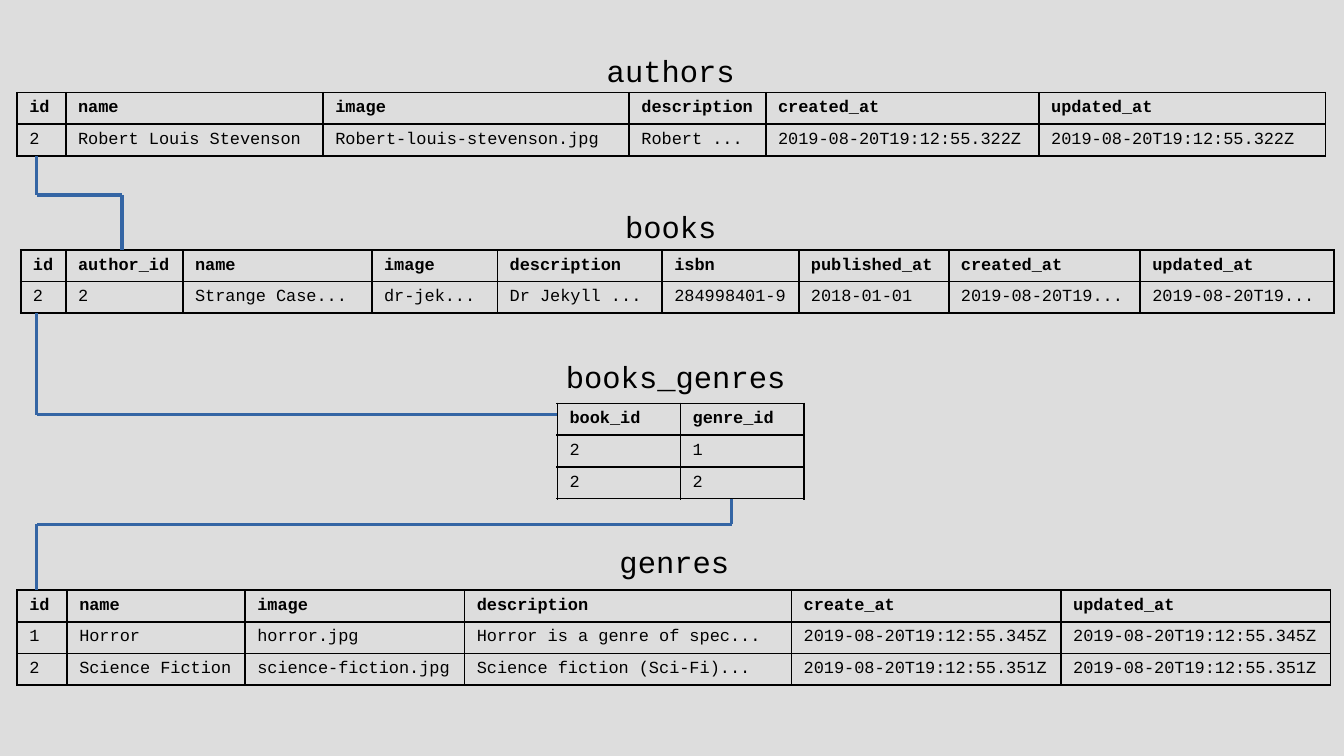
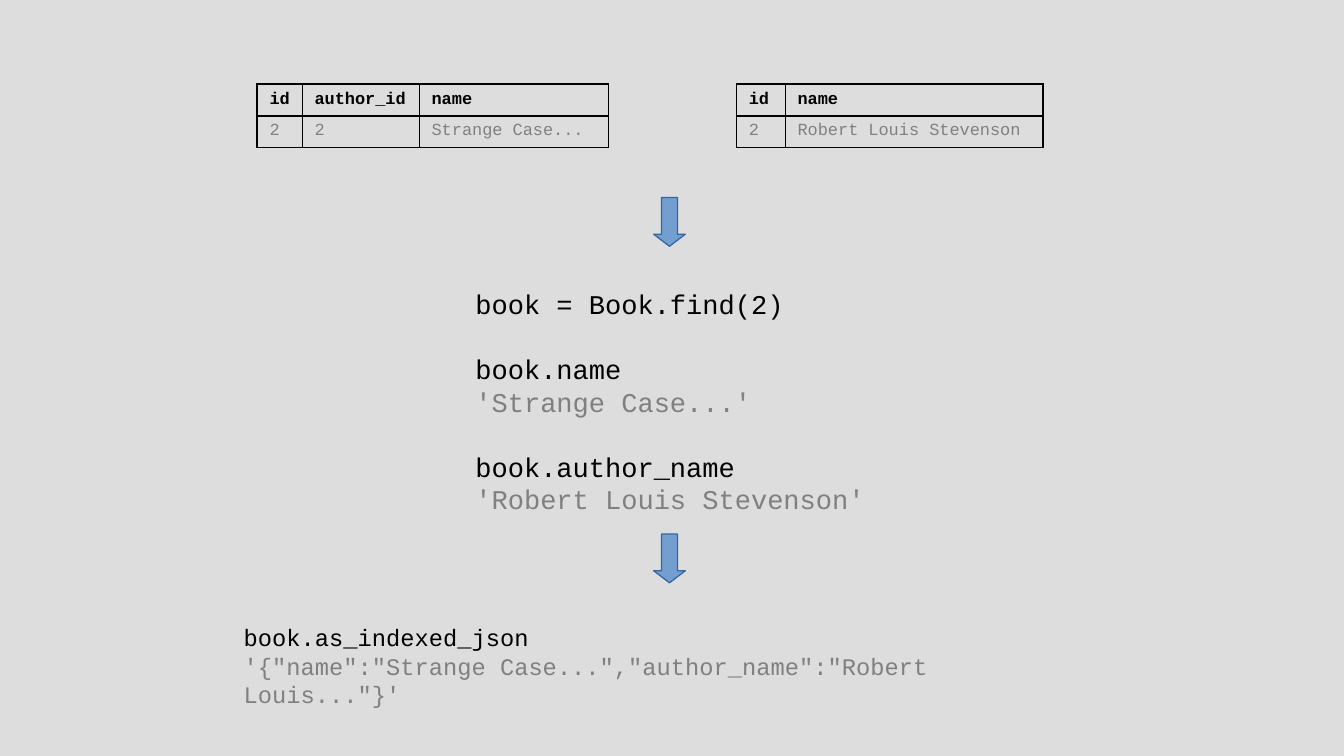
from itertools import pairwise

from lxml import etree
from pptx import Presentation
from pptx import util as u
from pptx.dml.color import RGBColor
from pptx.enum import shapes, text
from pptx.oxml.ns import qn

FONT = "Courier New"
BLACK, GRAY, BACKGROUND = "000000", "808080", "DDDDDD"
BLUE, BLUE_LINE = "729FCF", "3465A4"
ROW_HEIGHT = 0.26
BORDER = u.Pt(1.13)
ID_X = 0.3

AUTHOR_COLUMNS = [0.4, 2.11, 2.51, 1.12, 2.24, 2.35]
BOOK_COLUMNS = [0.37, 0.96, 1.55, 1.03, 1.35, 1.12, 1.23, 1.57, 1.59]
GENRE_COLUMNS = [0.41, 1.46, 1.8, 2.68, 2.21, 2.21]


def color(value):
    return RGBColor.from_string(value)


def format_runs(paragraph, size, shade=BLACK, bold=False):
    for run in paragraph.runs:
        run.font.name = FONT
        run.font.size = u.Pt(size)
        run.font.bold = bold
        run.font.color.rgb = color(shade)


def add_borders(cell):
    properties = cell._tc.get_or_add_tcPr()
    for side in ("a:lnL", "a:lnR", "a:lnT", "a:lnB"):
        line = etree.SubElement(properties, qn(side), w=str(BORDER))
        fill = etree.SubElement(line, qn("a:solidFill"))
        etree.SubElement(fill, qn("a:srgbClr"), val=BLACK)


def add_data_table(slide, left, top, widths, rows, value_color=BLACK):
    frame = slide.shapes.add_table(
        len(rows), len(widths), u.Inches(left), u.Inches(top),
        u.Inches(sum(widths)), u.Inches(ROW_HEIGHT * len(rows)))
    table = frame.table
    table.horz_banding = False
    for column, width in zip(table.columns, widths):
        column.width = u.Inches(width)
    for row_index, values in enumerate(rows):
        header = row_index == 0
        table.rows[row_index].height = u.Inches(ROW_HEIGHT)
        for cell, value in zip(table.rows[row_index].cells, values):
            cell.text_frame.text = value
            format_runs(cell.text_frame.paragraphs[0], 10,
                        BLACK if header else value_color, header)
            add_borders(cell)
            cell.fill.background()


def add_text(slide, left, top, width, height, size, lines,
             alignment=text.PP_ALIGN.LEFT):
    box = slide.shapes.add_textbox(
        u.Inches(left), u.Inches(top), u.Inches(width), u.Inches(height))
    frame = box.text_frame
    frame.word_wrap = True
    frame.text = "\n".join(line for line, shade in lines)
    for paragraph, (line, shade) in zip(frame.paragraphs, lines):
        paragraph.alignment = alignment
        format_runs(paragraph, size, shade)
    return frame.paragraphs


def add_label(slide, left, top, name):
    add_text(slide, left, top, 3, 0.38, 18, [(name, BLACK)],
             text.PP_ALIGN.CENTER)


def add_link(slide, *points):
    for start, end in pairwise(points):
        connector = slide.shapes.add_connector(
            shapes.MSO_CONNECTOR.STRAIGHT,
            *(u.Inches(value) for value in start + end))
        connector.line.color.rgb = color(BLUE_LINE)
        connector.line.width = u.Pt(0)
        etree.SubElement(connector._element.spPr, qn("a:effectLst"))


def add_down_arrow(slide, top):
    shape = slide.shapes.add_shape(
        shapes.MSO_SHAPE.DOWN_ARROW,
        u.Inches(5.36), u.Inches(top), u.Inches(0.26), u.Inches(0.4))
    shape.adjustments[0] = 0.5
    shape.adjustments[1] = 0.38
    shape.shadow.inherit = False
    shape.fill.solid()
    shape.fill.fore_color.rgb = color(BLUE)
    shape.line.color.rgb = color(BLUE_LINE)
    shape.line.width = u.Pt(0)


def build_schema(slide):
    add_data_table(slide, 0.14, 0.76, AUTHOR_COLUMNS, [
        ["id", "name", "image", "description", "created_at", "updated_at"],
        ["2", "Robert Louis Stevenson", "Robert-louis-stevenson.jpg",
         "Robert ...", "2019-08-20T19:12:55.322Z",
         "2019-08-20T19:12:55.322Z"],
    ])
    add_data_table(slide, 0.17, 2.05, BOOK_COLUMNS, [
        ["id", "author_id", "name", "image", "description", "isbn",
         "published_at", "created_at", "updated_at"],
        ["2", "2", "Strange Case...", "dr-jek...", "Dr Jekyll ...",
         "284998401-9", "2018-01-01", "2019-08-20T19...",
         "2019-08-20T19..."],
    ])
    add_data_table(slide, 4.57, 3.31, [1.01, 1.01], [
        ["book_id", "genre_id"], ["2", "1"], ["2", "2"],
    ])
    add_data_table(slide, 0.14, 4.84, GENRE_COLUMNS, [
        ["id", "name", "image", "description", "create_at", "updated_at"],
        ["1", "Horror", "horror.jpg", "Horror is a genre of spec...",
         "2019-08-20T19:12:55.345Z", "2019-08-20T19:12:55.345Z"],
        ["2", "Science Fiction", "science-fiction.jpg",
         "Science fiction (Sci-Fi)...",
         "2019-08-20T19:12:55.351Z", "2019-08-20T19:12:55.351Z"],
    ])

    add_label(slide, 4, 0.38, "authors")
    add_label(slide, 4, 1.66, "books")
    add_label(slide, 4.04, 2.89, "books_genres")
    add_label(slide, 4.03, 4.4, "genres")

    add_link(slide, (ID_X, 1.28), (ID_X, 1.6), (1, 1.6), (1, 2.05))
    add_link(slide, (ID_X, 2.57), (ID_X, 3.4), (4.57, 3.4))
    add_link(slide, (6, 4.09), (6, 4.3), (ID_X, 4.3), (ID_X, 4.84))


def build_index_example(slide):
    add_data_table(slide, 6.04, 0.69, AUTHOR_COLUMNS[:2], [
        ["id", "name"], ["2", "Robert Louis Stevenson"],
    ], GRAY)
    add_data_table(slide, 2.11, 0.69, BOOK_COLUMNS[:3], [
        ["id", "author_id", "name"], ["2", "2", "Strange Case..."],
    ], GRAY)

    paragraphs = add_text(slide, 3.8, 2.31, 3.49, 2.11, 16, [
        ("book = Book.find(2)", BLACK),
        ("book.name", BLACK),
        ("'Strange Case...'", GRAY),
        ("book.author_name", BLACK),
        ("'Robert Louis Stevenson'", GRAY),
    ])
    for paragraph in (paragraphs[1], paragraphs[3]):
        paragraph.space_before = u.Pt(19.2)
    add_text(slide, 1.9, 5.06, 7.1, 0.76, 14, [
        ("book.as_indexed_json", BLACK),
        ("""'{"name":"Strange Case...","author_name":"Robert Louis..."}'""",
         GRAY),
    ])

    for top in (1.62, 4.38):
        add_down_arrow(slide, top)


def main():
    presentation = Presentation()
    presentation.slide_width = u.Inches(11.02)
    presentation.slide_height = u.Inches(6.2)
    background = presentation.slide_master.background.fill
    background.solid()
    background.fore_color.rgb = color(BACKGROUND)
    blank = presentation.slide_layouts[6]
    for build in (build_schema, build_index_example):
        build(presentation.slides.add_slide(blank))
    presentation.save("out.pptx")


if __name__ == "__main__":
    main()
